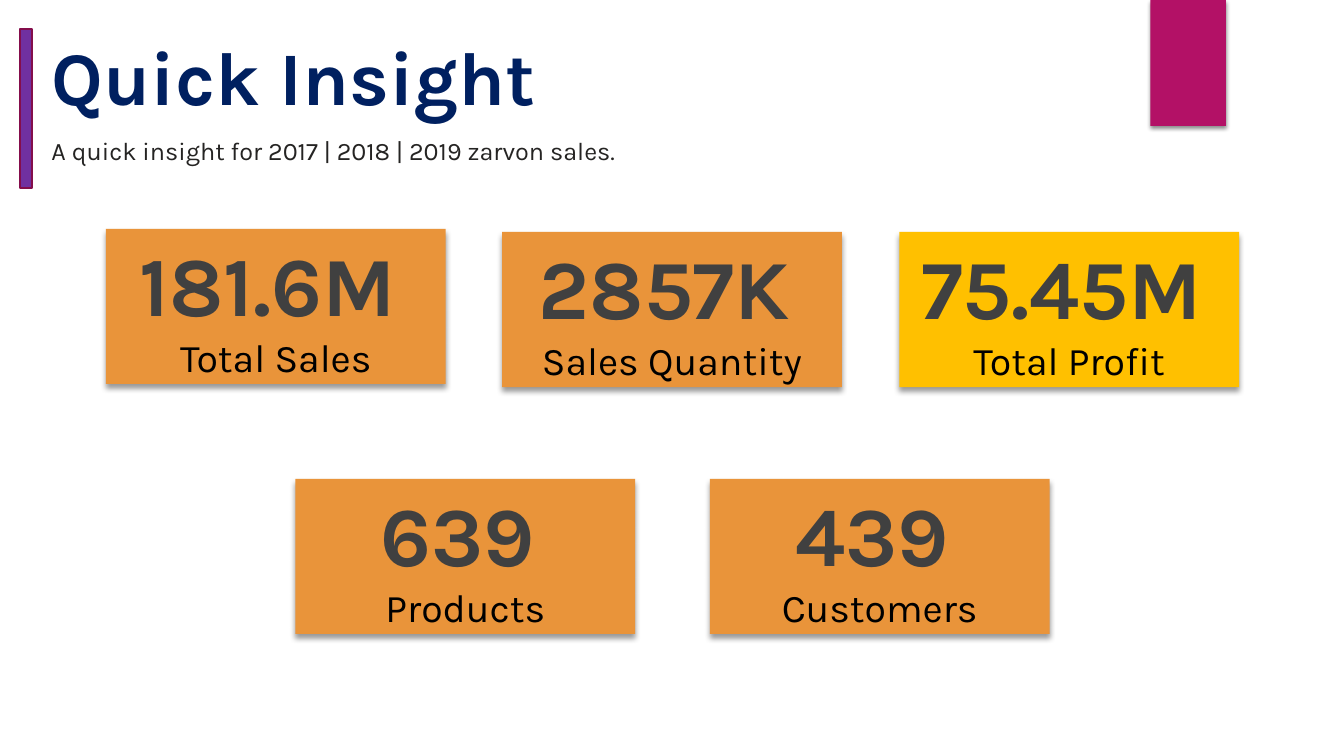
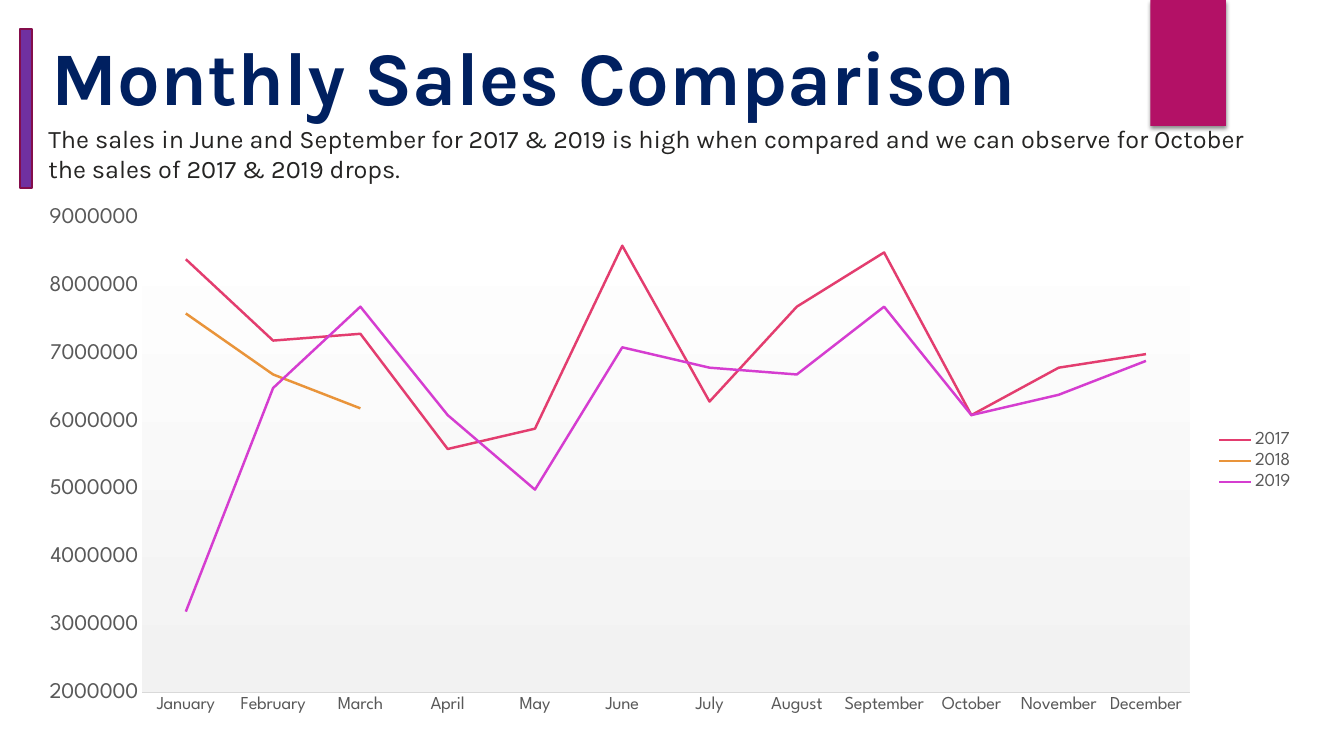
"""Build a two-slide sales deck: headline figures and a monthly comparison chart."""
from dataclasses import dataclass

from lxml import etree
from pptx import Presentation
from pptx.chart.data import CategoryChartData
from pptx.dml.color import RGBColor
from pptx.enum.chart import XL_CHART_TYPE as ChartType
from pptx.enum.chart import XL_LEGEND_POSITION as LegendPosition
from pptx.enum.chart import XL_TICK_MARK as TickMark
from pptx.enum.shapes import MSO_SHAPE as Shape
from pptx.enum.text import MSO_ANCHOR as Anchor
from pptx.enum.text import PP_ALIGN as Align
from pptx.oxml import parse_xml
from pptx.util import Pt

EMU_PER_PX = 9144
BODY_FONT = "Karla"
CHART_FONT = "League Spartan"
MILLION = 1_000_000
COLORS = {
    "page": "FFFFFF",
    "ribbon": "B31166",
    "title": "002060",
    "subtitle": "252423",
    "bar": "7030A0",
    "bar_line": "840D4B",
    "orange": "E9943A",
    "gold": "FFC000",
    "figure": "404040",
    "label": "000000",
    "axis_text": "595959",
    "axis_line": "D9D9D9",
    "plot_end": "F2F2F2",
    "pink": "E33D6F",
    "violet": "D53DD0",
}
DRAWING_NS = "http://schemas.openxmlformats.org/drawingml/2006/main"
CHART_NS = "http://schemas.openxmlformats.org/drawingml/2006/chart"
MONTHS = ("January", "February", "March", "April", "May", "June", "July",
          "August", "September", "October", "November", "December")


@dataclass(frozen=True)
class Box:
    left: int
    top: int
    width: int
    height: int

    def emu(self) -> tuple[int, ...]:
        sides = (self.left, self.top, self.width, self.height)
        return tuple(side * EMU_PER_PX for side in sides)


@dataclass(frozen=True)
class Shadow:
    alpha: int
    blur: int
    distance: int


@dataclass(frozen=True)
class Card:
    left: int
    top: int
    figure: str
    label: str
    color: str = "orange"


@dataclass(frozen=True)
class YearLine:
    year: str
    color: str
    millions: tuple


RIBBON_SHADOW = Shadow(45, 3, 2)
CARD_SHADOW = Shadow(40, 4, 3)
CARDS = (
    Card(105, 227, "181.6M", "Total Sales"),
    Card(498, 230, "2857K", "Sales Quantity"),
    Card(892, 230, "75.45M", "Total Profit", "gold"),
    Card(293, 475, "639", "Products"),
    Card(704, 475, "439", "Customers"),
)
YEAR_LINES = (
    YearLine("2017", "pink", (8.4, 7.2, 7.3, 5.6, 5.9, 8.6, 6.3, 7.7, 8.5, 6.1, 6.8, 7.0)),
    YearLine("2018", "orange", (7.6, 6.7, 6.2) + (None,) * 9),
    YearLine("2019", "violet", (3.2, 6.5, 7.7, 6.1, 5.0, 7.1, 6.8, 6.7, 7.7, 6.1, 6.4, 6.9)),
)


def rgb(name: str) -> RGBColor:
    return RGBColor.from_string(COLORS[name])


def style_font(font, size: int, color: str, name: str = BODY_FONT, bold: bool = False) -> None:
    font.size = Pt(size)
    font.name = name
    font.bold = bold
    font.color.rgb = rgb(color)


def add_block(page, kind, box: Box, color: str):
    block = page.shapes.add_shape(kind, *box.emu())
    block.shadow.inherit = False
    block.fill.solid()
    block.fill.fore_color.rgb = rgb(color)
    block.line.fill.background()
    return block


def cast_shadow(block, shadow: Shadow) -> None:
    effects = block.element.spPr.find(f"{{{DRAWING_NS}}}effectLst")
    outer = etree.SubElement(
        effects, f"{{{DRAWING_NS}}}outerShdw", blurRad=str(Pt(shadow.blur)),
        dist=str(Pt(shadow.distance)), dir="5400000", algn="ctr", rotWithShape="0")
    tint = etree.SubElement(outer, f"{{{DRAWING_NS}}}srgbClr", val="000000")
    etree.SubElement(tint, f"{{{DRAWING_NS}}}alpha", val=str(shadow.alpha * 1000))


def add_text(page, box: Box, text: str, size: int, color: str, bold: bool = False) -> None:
    frame = page.shapes.add_textbox(*box.emu()).text_frame
    frame.word_wrap = True
    frame.vertical_anchor = Anchor.MIDDLE
    frame.margin_left = frame.margin_top = frame.margin_right = frame.margin_bottom = 0
    para = frame.paragraphs[0]
    para.text = text
    style_font(para.font, size, color, bold=bold)


def add_page(deck, title: str, title_width: int, subtitle: str, subtitle_box: Box):
    page = deck.slides.add_slide(deck.slide_layouts[6])
    page.background.fill.solid()
    page.background.fill.fore_color.rgb = rgb("page")
    ribbon = add_block(page, Shape.RECTANGLE, Box(1141, 0, 75, 125), "ribbon")
    cast_shadow(ribbon, RIBBON_SHADOW)
    add_text(page, Box(51, 31, title_width, 88), title, 54, "title", bold=True)
    bar = add_block(page, Shape.MATH_MINUS, Box(-82, 82, 215, 51), "bar")
    bar.rotation = 90
    bar.line.color.rgb = rgb("bar_line")
    bar.line.width = Pt(1.5)
    add_text(page, subtitle_box, subtitle, 18, "subtitle")
    return page


def add_card(page, card: Card) -> None:
    block = add_block(page, Shape.RECTANGLE, Box(card.left, card.top, 337, 154), card.color)
    cast_shadow(block, CARD_SHADOW)
    frame = block.text_frame
    frame.word_wrap = True
    frame.vertical_anchor = Anchor.MIDDLE
    figure, label = frame.paragraphs[0], frame.add_paragraph()
    figure.alignment = label.alignment = Align.CENTER
    span = figure.add_run()
    span.text = card.figure
    style_font(span.font, 60, "figure", bold=True)
    space = figure.add_run()
    space.text = " "
    style_font(space.font, 44, "label", CHART_FONT)
    label.text = card.label
    style_font(label.font, 28, "label")


def style_plot_area(chart) -> None:
    area = chart.element.find(f".//{{{CHART_NS}}}plotArea")
    for layout in area.findall(f"{{{CHART_NS}}}layout"):
        area.remove(layout)
    area.insert(0, parse_xml(
        f'<c:layout xmlns:c="{CHART_NS}"><c:manualLayout><c:layoutTarget val="inner"/>'
        '<c:xMode val="edge"/><c:yMode val="edge"/><c:x val="0.09"/><c:y val="0.04"/>'
        '<c:w val="0.82"/><c:h val="0.9"/></c:manualLayout></c:layout>'))
    area.append(parse_xml(
        f'<c:spPr xmlns:c="{CHART_NS}" xmlns:a="{DRAWING_NS}"><a:gradFill><a:gsLst>'
        f'<a:gs pos="0"><a:srgbClr val="{COLORS["page"]}"/></a:gs>'
        f'<a:gs pos="100000"><a:srgbClr val="{COLORS["plot_end"]}"/></a:gs>'
        '</a:gsLst><a:lin ang="5400000" scaled="0"/></a:gradFill></c:spPr>'))


def style_axis(axis, size: int) -> None:
    axis.major_tick_mark = axis.minor_tick_mark = TickMark.NONE
    axis.has_major_gridlines = False
    style_font(axis.tick_labels.font, size, "axis_text", CHART_FONT)


def add_sales_chart(page) -> None:
    data = CategoryChartData()
    data.categories = MONTHS
    for line in YEAR_LINES:
        data.add_series(line.year, [
            None if value is None else round(value * MILLION) for value in line.millions])
    chart = page.shapes.add_chart(ChartType.LINE, *Box(27, 196, 1267, 523).emu(), data).chart
    style_font(chart.font, 10, "label", CHART_FONT)
    chart.has_title = False
    chart.has_legend = True
    chart.legend.position = LegendPosition.RIGHT
    chart.legend.include_in_layout = False
    style_font(chart.legend.font, 13, "axis_text", CHART_FONT)
    chart.plots[0].vary_by_categories = False
    for series, line in zip(chart.plots[0].series, YEAR_LINES):
        series.smooth = False
        series.format.line.color.rgb = rgb(line.color)
        series.format.line.width = Pt(1.75)
    months, sales = chart.category_axis, chart.value_axis
    style_axis(months, 13)
    months.format.line.color.rgb = rgb("axis_line")
    months.format.line.width = Pt(0.75)
    style_axis(sales, 16)
    sales.format.line.fill.background()
    sales.minimum_scale = 2 * MILLION
    sales.maximum_scale = 9 * MILLION
    sales.major_unit = MILLION
    style_plot_area(chart)


def main() -> None:
    deck = Presentation()
    deck.slide_width, deck.slide_height = 1333 * EMU_PER_PX, 750 * EMU_PER_PX
    insight = add_page(
        deck, "Quick Insight", 1089,
        "A quick insight for 2017 | 2018 | 2019 zarvon sales.", Box(51, 105, 1224, 88))
    for card in CARDS:
        add_card(insight, card)
    comparison = add_page(
        deck, "Monthly Sales Comparison", 1253,
        "The sales in June and September for 2017 & 2019 is high when compared and "
        "we can observe for October the sales of 2017 & 2019 drops.",
        Box(48, 122, 1224, 61))
    add_sales_chart(comparison)
    deck.save("out.pptx")


if __name__ == "__main__":
    main()
